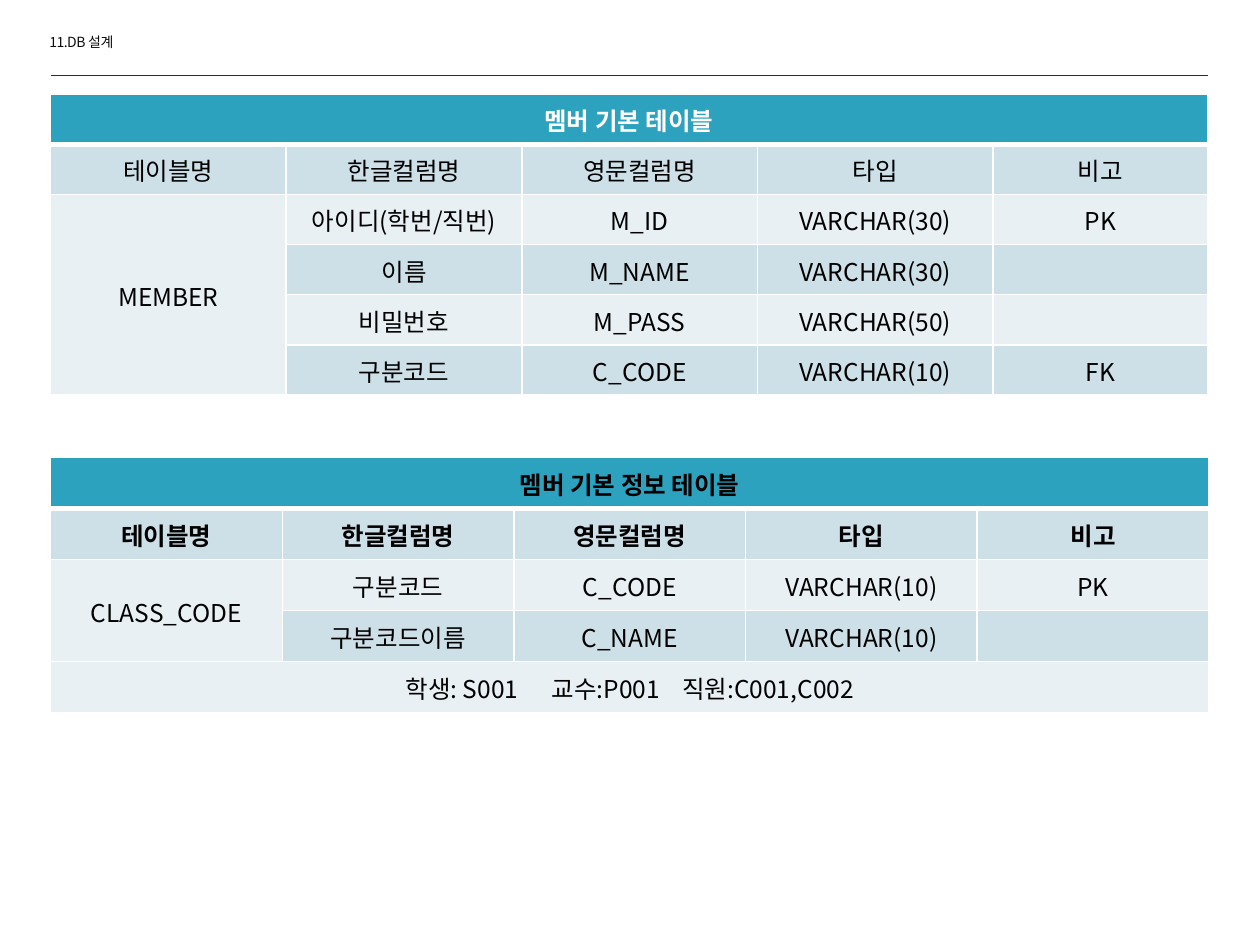
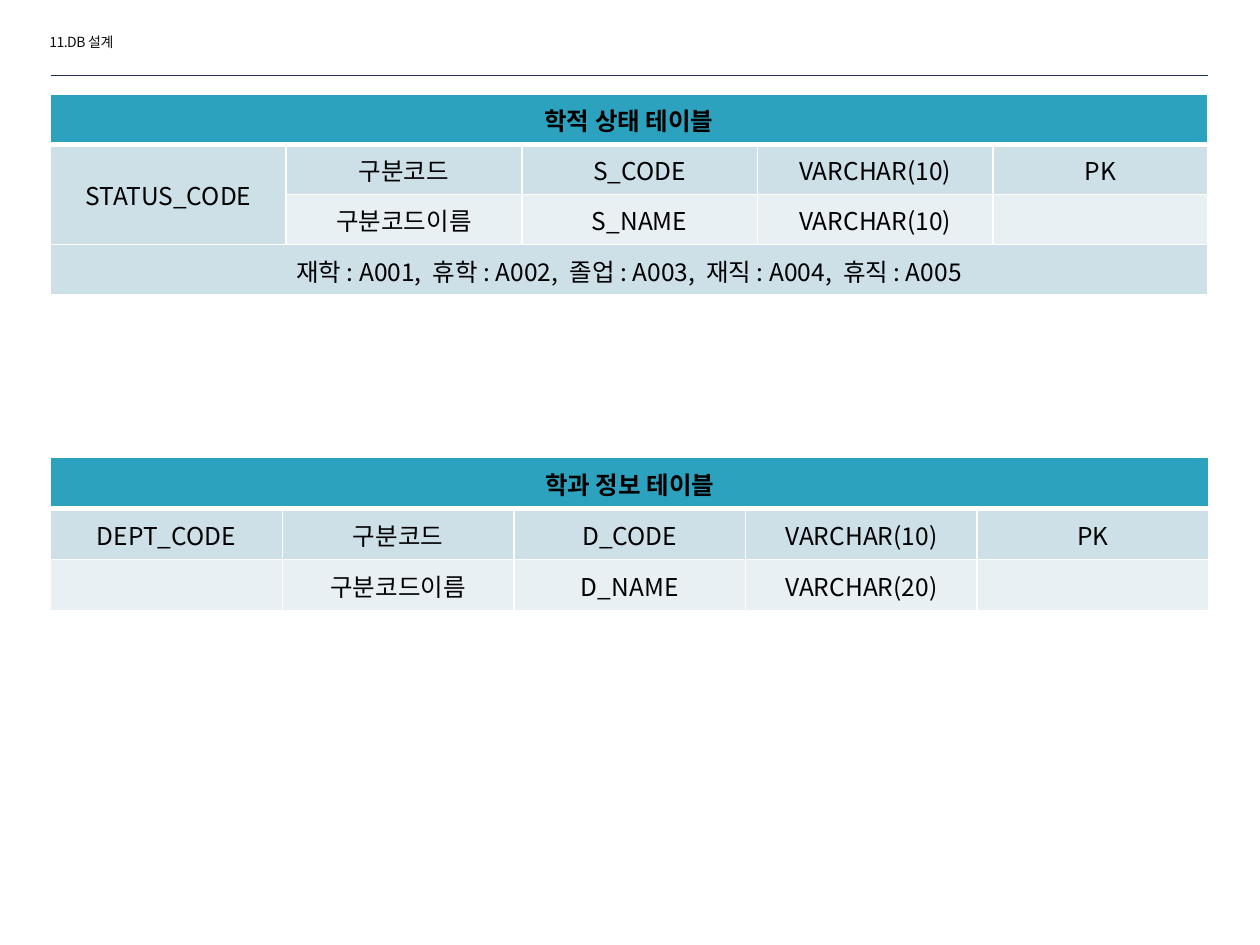
from dataclasses import dataclass
from typing import Optional

from lxml.etree import SubElement
from pptx import Presentation
from pptx.dml.color import RGBColor
from pptx.enum.shapes import MSO_CONNECTOR as Connector
from pptx.enum.text import MSO_ANCHOR as Anchor, MSO_AUTO_SIZE as AutoSize, PP_ALIGN as Align
from pptx.oxml.ns import qn
from pptx.util import Cm, Pt

# Shared style
FONT = "Noto Sans CJK KR"
BLACK, WHITE, INK, RULE = "000000", "FFFFFF", "0D0D0D", "1C314E"
TITLE_FILL = "2DA2BF"
BANDS = ("E8F0F4", "CDE0E8")
PAGE_TITLE = "11.DB 설계"
LEFT, RIGHT, RULE_TOP = 1.02, 24.36, 1.52
SPACE_WIDTH = 3.14  # points, one space at 14 pt
HEADINGS = ("테이블명", "한글컬럼명", "영문컬럼명", "타입", "비고")


@dataclass(frozen=True)
class Grid:
    """Place and measures of a table, in centimetres."""
    top: float
    row_height: float
    widths: tuple[float, ...]


UPPER = Grid(1.9, 1.01, (4.75,) * 4 + (4.32,))
LOWER = Grid(9.22, 1.03, (4.67,) * 5)


@dataclass(frozen=True)
class Note:
    """A full-width row of entries, with the gap after each counted in spaces."""
    entries: tuple[str, ...]
    gaps: tuple[int, ...]


@dataclass(frozen=True)
class SchemaTable:
    """A first cell of None continues the cell above it."""
    title: str
    grid: Grid
    rows: tuple[tuple[Optional[str], ...], ...]
    note: Optional[Note] = None
    title_color: str = BLACK
    bold_rows: int = 1


PAGES = (
    (
        SchemaTable("멤버 기본 테이블", UPPER, (
            HEADINGS,
            ("MEMBER", "아이디(학번/직번)", "M_ID", "VARCHAR(30)", "PK"),
            (None, "이름", "M_NAME", "VARCHAR(30)", ""),
            (None, "비밀번호", "M_PASS", "VARCHAR(50)", ""),
            (None, "구분코드", "C_CODE", "VARCHAR(10)", "FK"),
        ), title_color=WHITE),
        SchemaTable("멤버 기본 정보 테이블", LOWER, (
            HEADINGS,
            ("CLASS_CODE", "구분코드", "C_CODE", "VARCHAR(10)", "PK"),
            (None, "구분코드이름", "C_NAME", "VARCHAR(10)", ""),
        ), Note(("학생: S001", "교수:P001", "직원:C001,C002"), (6, 4)), bold_rows=2),
    ),
    (
        SchemaTable("학적 상태 테이블", UPPER, (
            ("STATUS_CODE", "구분코드", "S_CODE", "VARCHAR(10)", "PK"),
            (None, "구분코드이름", "S_NAME", "VARCHAR(10)", ""),
        ), Note(("재학 : A001,", "휴학 : A002,", "졸업 : A003,", "재직 : A004,",
                 "휴직 : A005"), (2,) * 4)),
        SchemaTable("학과 정보 테이블", LOWER, (
            ("DEPT_CODE", "구분코드", "D_CODE", "VARCHAR(10)", "PK"),
            ("", "구분코드이름", "D_NAME", "VARCHAR(20)", ""),
        )),
    ),
)


def rgb(color: str) -> RGBColor:
    return RGBColor.from_string(color)


def add_span(para, text: str, size: float, color: str = BLACK,
             bold: bool = False, spacing: float = 0) -> None:
    span = para.add_run()
    span.text = text
    font = span.font
    font.size, font.bold, font.name = Pt(size), bold, FONT
    font.color.rgb = rgb(color)
    properties = span._r.get_or_add_rPr()
    SubElement(properties, qn("a:ea")).set("typeface", FONT)
    if spacing:
        properties.set("spc", str(round(spacing * 100)))


def add_page(deck):
    """Add a page with its small heading and the rule below it."""
    page = deck.slides.add_slide(deck.slide_layouts[5])
    box = page.shapes.title
    box.left, box.top, box.width, box.height = Cm(0.74), Cm(0.53), Cm(4.39), Cm(0.61)
    frame = box.text_frame
    frame.word_wrap, frame.auto_size = True, AutoSize.NONE
    frame.vertical_anchor = Anchor.MIDDLE
    para = frame.paragraphs[0]
    para.alignment = Align.LEFT
    add_span(para, PAGE_TITLE, 8, INK, spacing=-0.3)

    rule = page.shapes.add_connector(
        Connector.STRAIGHT, Cm(LEFT), Cm(RULE_TOP), Cm(RIGHT), Cm(RULE_TOP))
    rule.line.color.rgb = rgb(RULE)
    rule.line.width = Pt(0.25)
    SubElement(rule._element.spPr, qn("a:effectLst"))
    return page


def style_cell(cell, row: int) -> None:
    """Set fill, margins and white borders; the title row has a thick lower edge."""
    cell.margin_left = cell.margin_right = cell.margin_top = Cm(0.03)
    cell.margin_bottom = 0
    cell.vertical_anchor = Anchor.MIDDLE
    cell.fill.solid()
    cell.fill.fore_color.rgb = rgb(BANDS[row % 2] if row else TITLE_FILL)
    properties = cell._tc.get_or_add_tcPr()
    widths = {"lnL": 1, "lnR": 1, "lnT": 3 if row == 1 else 1, "lnB": 1 if row else 3}
    for index, (side, width) in enumerate(widths.items()):
        edge = SubElement(properties, qn(f"a:{side}"), w=str(Pt(width)))
        fill = SubElement(edge, qn("a:solidFill"))
        SubElement(fill, qn("a:srgbClr"), val=WHITE)
        properties.insert(index, edge)


def write_cell(cell, text: str, color: str = BLACK, bold: bool = False) -> None:
    if text:
        para = cell.text_frame.paragraphs[0]
        para.alignment = Align.CENTER
        add_span(para, text, 14, color, bold)


def write_note(cell, note: Note) -> None:
    write_cell(cell, note.entries[0])
    para = cell.text_frame.paragraphs[0]
    for gap, entry in zip(note.gaps, note.entries[1:]):
        add_span(para, " ", 14, spacing=(gap - 1) * SPACE_WIDTH)
        add_span(para, entry, 14)


def add_schema_table(page, schema: SchemaTable) -> None:
    grid = schema.grid
    row_count = 1 + len(schema.rows) + (schema.note is not None)
    table = page.shapes.add_table(
        row_count, len(grid.widths), Cm(LEFT), Cm(grid.top),
        Cm(sum(grid.widths)), Cm(grid.row_height * row_count)).table
    table.first_row = table.horz_banding = False
    for column, width in zip(table.columns, grid.widths):
        column.width = Cm(width)
    for index, row in enumerate(table.rows):
        row.height = Cm(grid.row_height)
        for cell in row.cells:
            style_cell(cell, index)

    # Full-width rows
    last_column = len(grid.widths) - 1
    table.cell(0, 0).merge(table.cell(0, last_column))
    write_cell(table.cell(0, 0), schema.title, schema.title_color, True)
    if schema.note:
        note_cell = table.cell(row_count - 1, 0)
        note_cell.merge(table.cell(row_count - 1, last_column))
        write_note(note_cell, schema.note)

    # Column rows
    for row, values in enumerate(schema.rows, start=1):
        for column, value in enumerate(values):
            write_cell(table.cell(row, column), value, bold=row < schema.bold_rows)

    # Table names that run down several rows
    continued = [row for row, values in enumerate(schema.rows, start=1) if values[0] is None]
    if continued:
        table.cell(continued[0] - 1, 0).merge(table.cell(continued[-1], 0))


def main() -> None:
    deck = Presentation()
    deck.slide_width, deck.slide_height = Cm(25.4), Cm(19.05)
    for schemas in PAGES:
        page = add_page(deck)
        for schema in schemas:
            add_schema_table(page, schema)
    deck.save("out.pptx")


if __name__ == "__main__":
    main()
